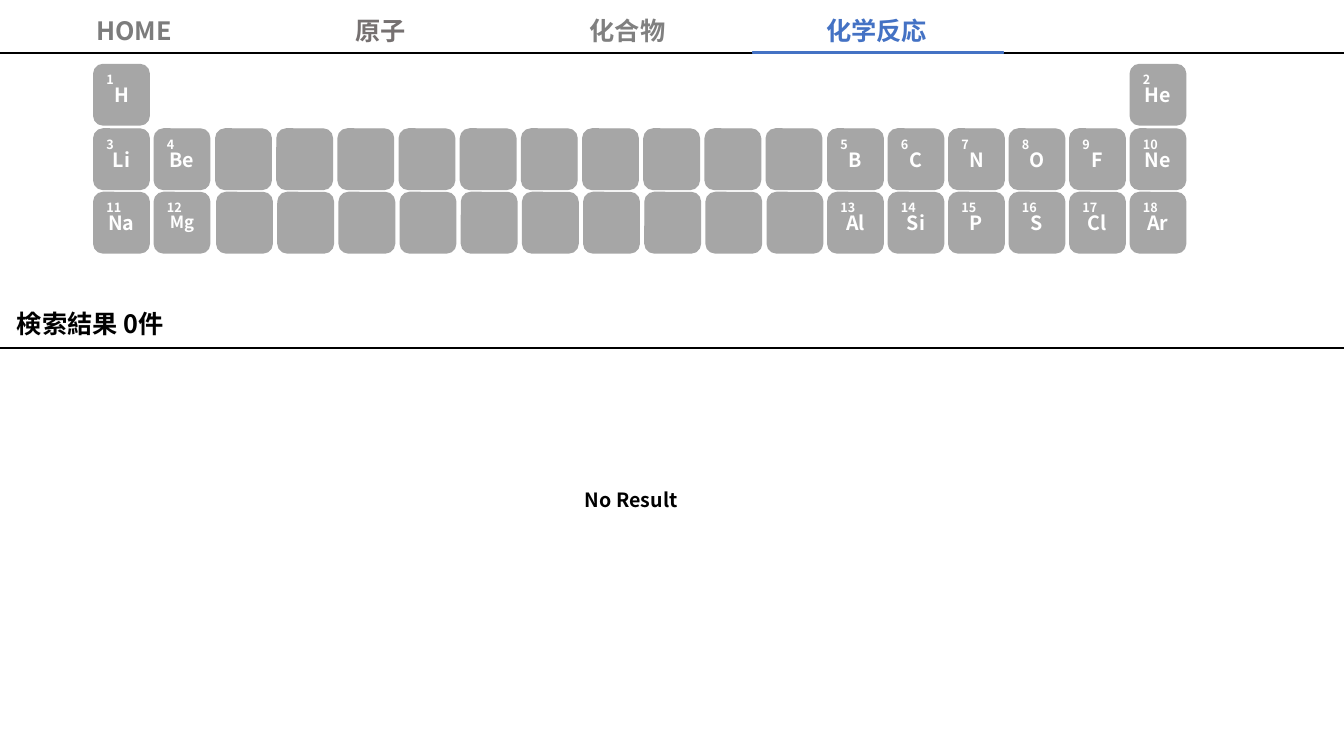
from dataclasses import dataclass

from lxml import etree
from pptx import Presentation
from pptx.dml.color import RGBColor
from pptx.enum import shapes, text
from pptx.oxml import ns
from pptx.util import Inches, Pt


@dataclass(frozen=True)
class Theme:
    font: str = "Noto Sans CJK JP"
    black: str = "000000"
    white: str = "FFFFFF"
    tile: str = "A6A6A6"
    accent: str = "4472C4"
    heading: int = 18
    symbol: int = 14
    narrow_symbol: int = 12
    number: int = 9


theme = Theme()


def style(paragraph, size, color, align=text.PP_ALIGN.CENTER):
    paragraph.alignment = align
    for run in paragraph.runs:
        run.font.name = theme.font
        run.font.size = Pt(size)
        run.font.bold = True
        run.font.color.rgb = RGBColor.from_string(color)
        east_asian = etree.SubElement(run.font._element, ns.qn("a:ea"))
        east_asian.set("typeface", theme.font)


def add_block(parent, kind, box, color):
    block = parent.add_shape(kind, *map(Inches, box))
    block.shadow.inherit = False
    block.fill.solid()
    block.fill.fore_color.rgb = RGBColor.from_string(color)
    block.line.color.rgb = RGBColor.from_string(color)
    block.line.width = Pt(1)
    return block


prs = Presentation()
prs.slide_width, prs.slide_height = Inches(13.33), Inches(7.5)
slide = prs.slides.add_slide(prs.slide_layouts[5])

# Rules under the navigation and under the result heading
for rule_y in (0.53, 3.45):
    rule = slide.shapes.add_connector(
        shapes.MSO_CONNECTOR.STRAIGHT, 0, Inches(rule_y), Inches(13.33), Inches(rule_y))
    rule.line.color.rgb = RGBColor.from_string(theme.black)
    rule.line.width = Pt(1.5)
    etree.SubElement(rule._element.spPr, ns.qn("a:effectLst"))

# Periodic table: (number, symbol) by row and column, blank tiles in between
element_rows = [
    {0: (1, "H"), 17: (2, "He")},
    dict(zip([0, 1, *range(12, 18)],
             enumerate(["Li", "Be", "B", "C", "N", "O", "F", "Ne"], 3))),
    dict(zip([0, 1, *range(12, 18)],
             enumerate(["Na", "Mg", "Al", "Si", "P", "S", "Cl", "Ar"], 11))),
]
row_tops = (0.64, 1.28, 1.91)
blank_starts = (None, 2.14, 2.15)
blank_pitch = (7.6 - 2.14) / 9

periodic_table = slide.shapes.add_group_shape().shapes
for elements, top, blank_start in zip(element_rows, row_tops, blank_starts):
    for column in range(18):
        if column < 2:
            left = 0.93 + 0.6 * column
        elif column >= 12:
            left = 8.21 + 0.6 * (column - 12)
        elif blank_start:
            left = blank_start + blank_pitch * (column - 2)
        if column not in elements and not (blank_start and 2 <= column < 12):
            continue
        tile = add_block(periodic_table, shapes.MSO_SHAPE.ROUNDED_RECTANGLE,
                         (left, top, 0.55, 0.6), theme.tile)
        if column in elements:
            number, symbol = elements[column]
            frame = tile.text_frame
            frame.word_wrap = True
            frame.vertical_anchor = text.MSO_ANCHOR.TOP
            frame.text = f"{number}\n{symbol}"
            number_line, symbol_line = frame.paragraphs
            style(number_line, theme.number, theme.white, text.PP_ALIGN.LEFT)
            symbol_size = theme.narrow_symbol if symbol == "Mg" else theme.symbol
            style(symbol_line, symbol_size, theme.white)
            symbol_line.line_spacing = 0.81

# Navigation tabs, the last one active
tabs = [("HOME", "7C7C7C"), ("原子", "767171"), ("化合物", "808080"), ("化学反応", theme.accent)]
navigation = slide.shapes.add_group_shape().shapes
for index, (label, color) in enumerate(tabs):
    width = 2.45 if color == theme.accent else 2.4
    tab = navigation.add_textbox(
        Inches(0.13 + 7.34 / 3 * index), Inches(0.12), Inches(width), Inches(0.36))
    tab.text_frame.word_wrap = True
    tab.text_frame.vertical_anchor = text.MSO_ANCHOR.MIDDLE
    tab.text_frame.text = label
    style(tab.text_frame.paragraphs[0], theme.heading, color)
add_block(navigation, shapes.MSO_SHAPE.RECTANGLE, (7.47, 0.51, 2.48, 0.02), theme.accent)

# Result heading and empty-result message
result_heading = slide.shapes.title
result_heading.left, result_heading.top = Inches(0), Inches(2.97)
result_heading.width, result_heading.height = Inches(1.79), Inches(0.47)
empty_message = slide.shapes.add_textbox(Inches(5.49), Inches(4.72), Inches(1.54), Inches(0.47))
for box, wording, size in ((result_heading, "検索結果 0件", theme.heading),
                           (empty_message, "No Result", theme.symbol)):
    frame = box.text_frame
    frame.text = wording
    frame.word_wrap = False
    frame.auto_size = text.MSO_AUTO_SIZE.NONE
    frame.vertical_anchor = text.MSO_ANCHOR.MIDDLE
    style(frame.paragraphs[0], size, theme.black)

prs.save("out.pptx")
